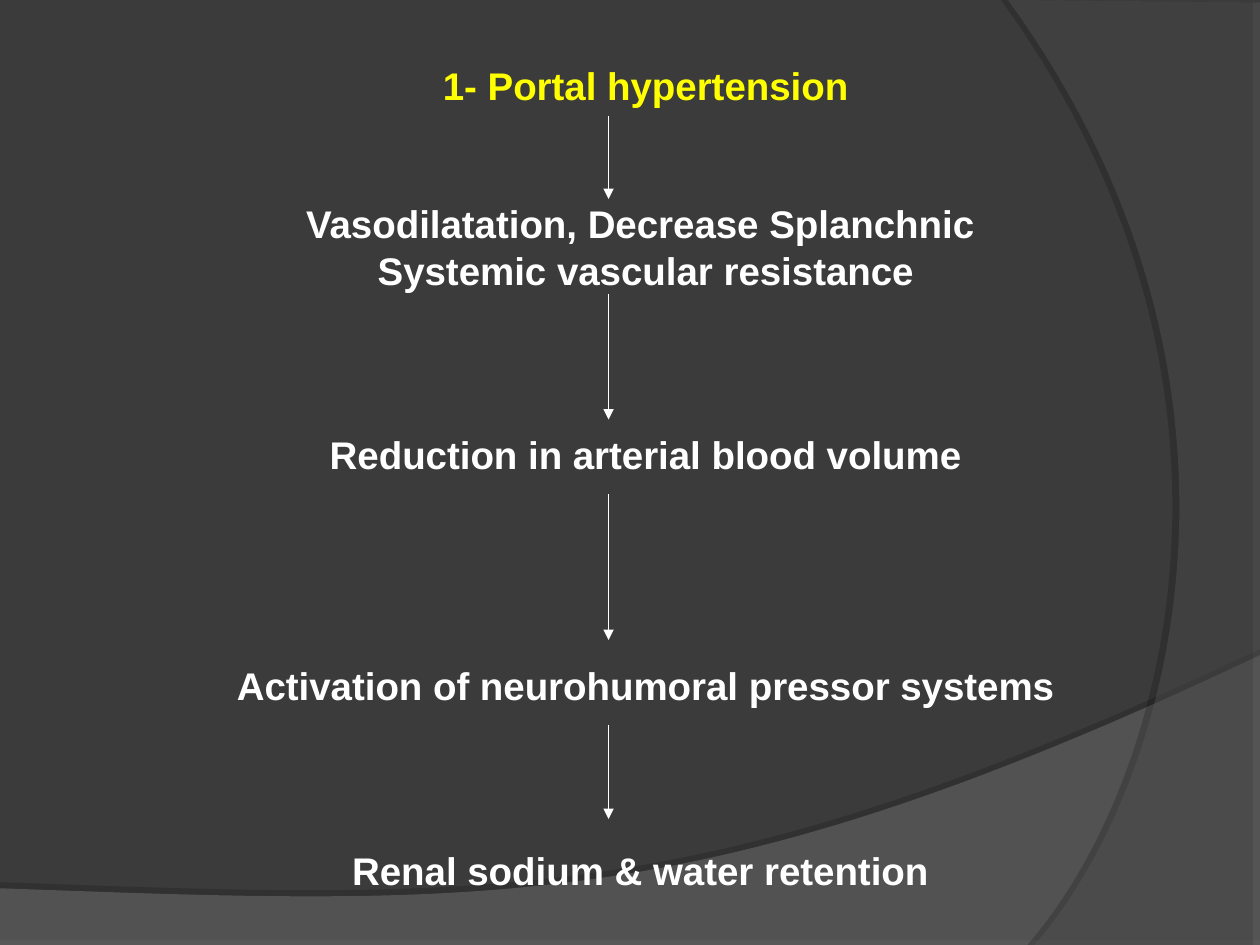
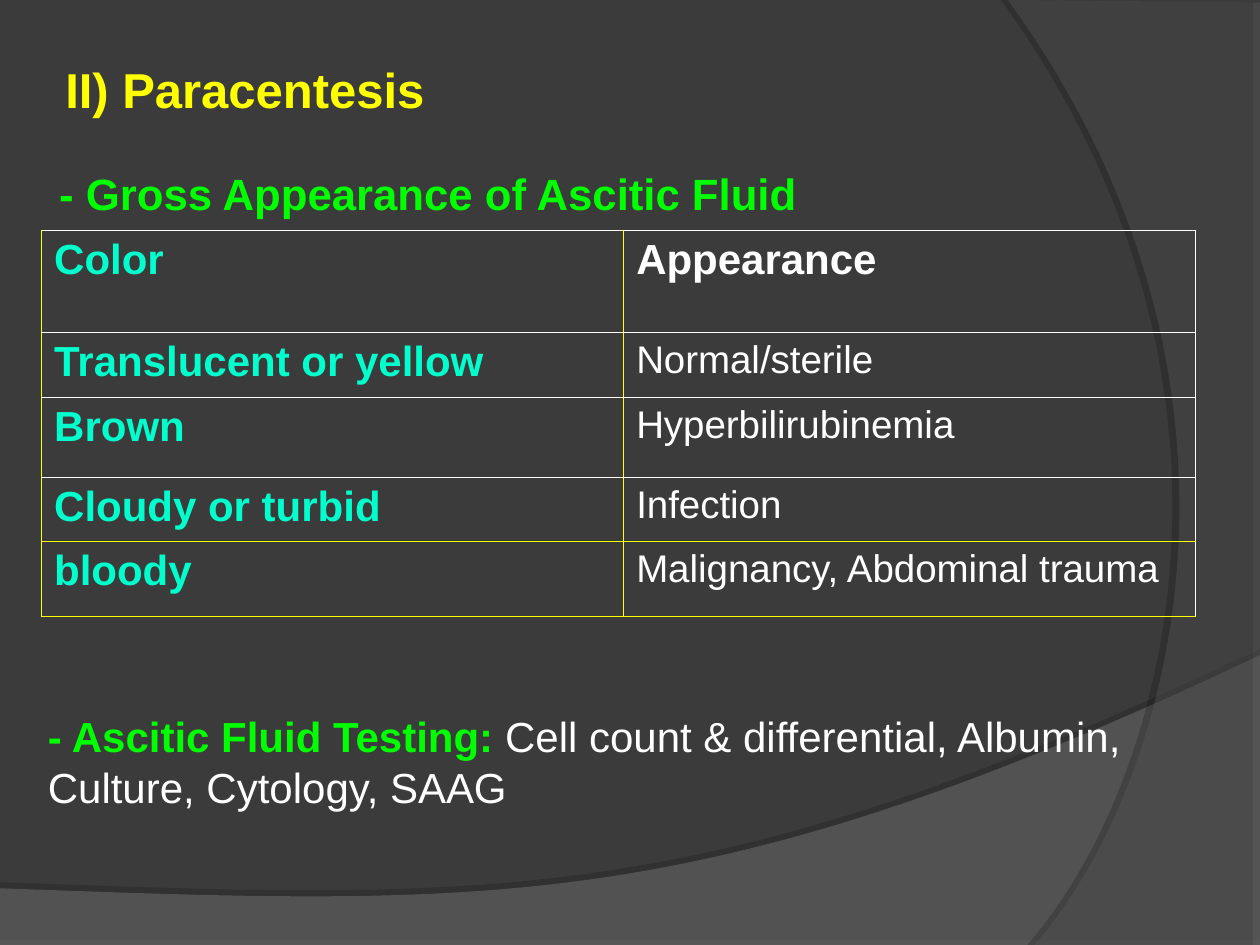
from lxml.etree import SubElement
from pptx import Presentation
from pptx.dml.color import RGBColor
from pptx.enum.shapes import MSO_CONNECTOR as Connector
from pptx.enum.text import MSO_ANCHOR as Anchor, PP_ALIGN as Align
from pptx.oxml.ns import qn
from pptx.util import Inches, Pt

FONT = "Arial"
GREY, WHITE, YELLOW = "3B3B3B", "FFFFFF", "FFFF00"
GREEN, AQUA = "00FF00", "00FFCC"


def rgb(color):
    return RGBColor.from_string(color)


def add_solid(parent, color):
    fill = SubElement(parent, qn("a:solidFill"))
    return SubElement(fill, qn("a:srgbClr"), val=color)


def bezier(start, control1, control2, end, steps=60):
    points = []
    for step in range(steps + 1):
        t = step / steps
        weights = ((1 - t) ** 3, 3 * t * (1 - t) ** 2, 3 * t * t * (1 - t), t ** 3)
        corners = (start, control1, control2, end)
        points.append(tuple(sum(w * c[axis] for w, c in zip(weights, corners))
                            for axis in (0, 1)))
    return points


BOTTOM_WAVE = [(0, 7.51), (10, 7.51)] + bezier(
    (10, 5.2), (5.59, 7.29), (3.91, 7.19), (0, 7.05))
RIGHT_WAVE = [(10, 0.02), (10, 7.5)] + bezier(
    (8.21, 7.5), (9.35, 6.19), (10.18, 3), (8, 0))


class Deck:
    """Holds the shared style and the slide being filled."""

    def __init__(self):
        self.presentation = Presentation()
        self.presentation.slide_width = Inches(10)
        self.presentation.slide_height = Inches(7.5)
        self.slide = None

    def add_slide(self):
        self.slide = self.presentation.slides.add_slide(
            self.presentation.slide_layouts[6])
        fill = self.slide.background.fill
        fill.solid()
        fill.fore_color.rgb = rgb(GREY)
        self.wave(BOTTOM_WAVE, "7C7C7C", 45, shadow=(35, 3.5, 270))
        self.wave(RIGHT_WAVE, "595959", 40, shadow=(45, 4, 180))

    def wave(self, points, color, opacity, shadow):
        corners = [(Inches(x), Inches(y)) for x, y in points]
        builder = self.slide.shapes.build_freeform(*corners[0])
        builder.add_line_segments(corners[1:], close=True)
        shape = builder.convert_to_shape()
        shape.fill.solid()
        shape.fill.fore_color.rgb = rgb(color)
        shape.line.fill.background()
        shape.shadow.inherit = False
        properties = shape._element.spPr
        fill_color = properties.find(qn("a:solidFill")).find(qn("a:srgbClr"))
        SubElement(fill_color, qn("a:alpha"), val=str(opacity * 1000))
        shadow_opacity, distance, angle = shadow
        outer = SubElement(properties.find(qn("a:effectLst")), qn("a:outerShdw"),
                           blurRad="0", dist=str(Pt(distance)),
                           dir=str(angle * 60000), algn="ctr", rotWithShape="0")
        shadow_color = SubElement(outer, qn("a:srgbClr"), val="000000")
        SubElement(shadow_color, qn("a:alpha"), val=str(shadow_opacity * 1000))

    def format_run(self, run, size, color, bold=True):
        font = run.font
        font.name, font.size, font.bold = FONT, Pt(size), bold
        font.color.rgb = rgb(color)

    def text_box(self, left, top, width, height, anchor=Anchor.TOP, side=0.05):
        shape = self.slide.shapes.add_textbox(
            Inches(left), Inches(top), Inches(width), Inches(height))
        frame = shape.text_frame
        frame.word_wrap = True
        frame.vertical_anchor = anchor
        frame.margin_left = frame.margin_right = Inches(side)
        frame.margin_top = frame.margin_bottom = Inches(0.05)
        return frame

    def heading(self, text, box, size, color, **options):
        frame = self.text_box(*box, **options)
        frame.text = text
        self.format_run(frame.paragraphs[0].runs[0], size, color)

    def flow(self, steps, box, size, pitch):
        frame = self.text_box(*box, anchor=Anchor.MIDDLE)
        frame.text = "\n".join(text for text, _, _ in steps)
        for paragraph, (_, skipped_lines, color) in zip(frame.paragraphs, steps):
            paragraph.alignment = Align.CENTER
            paragraph.line_spacing = Pt(pitch)
            paragraph.space_before = Pt(skipped_lines * pitch)
            self.format_run(paragraph.runs[0], size, color)

    def labelled_text(self, label, text, box, size, pitch):
        paragraph = self.text_box(*box).paragraphs[0]
        paragraph.line_spacing = Pt(pitch)
        for words, color, bold in ((label, GREEN, True), (text, WHITE, False)):
            run = paragraph.add_run()
            run.text = words
            self.format_run(run, size, color, bold)

    def down_arrow(self, x, top, bottom):
        connector = self.slide.shapes.add_connector(
            Connector.STRAIGHT, Inches(x), Inches(top), Inches(x), Inches(bottom))
        connector.line.color.rgb = rgb(WHITE)
        connector.line.width = Pt(0.75)
        SubElement(connector.line._get_or_add_ln(), qn("a:tailEnd"), type="triangle")
        SubElement(connector._element.spPr, qn("a:effectLst"))

    def cell_borders(self, cell, colors):
        properties = cell._tc.get_or_add_tcPr()
        for index, (side, color) in enumerate(zip("LRTB", colors)):
            line = SubElement(properties, qn(f"a:ln{side}"), w=str(Pt(0.45)))
            add_solid(line, color)
            properties.remove(line)
            properties.insert(index, line)

    def table(self, rows, left, top, widths, heights):
        table = self.slide.shapes.add_table(
            len(rows), len(widths), Inches(left), Inches(top),
            Inches(sum(widths)), Inches(sum(heights))).table
        table.first_row = table.horz_banding = False
        for column, width in zip(table.columns, widths):
            column.width = Inches(width)
        rules = [WHITE] * (len(rows) - 1) + [YELLOW] * 2
        uprights = [YELLOW] * len(widths) + [WHITE]
        for r, (texts, height) in enumerate(zip(rows, heights)):
            table.rows[r].height = Inches(height)
            for c, text in enumerate(texts):
                cell = table.cell(r, c)
                cell.text_frame.text = text
                cell.fill.background()
                self.cell_borders(cell, uprights[c:c + 2] + rules[r:r + 2])
                strong = r == 0 or c == 0
                self.format_run(cell.text_frame.paragraphs[0].runs[0],
                                24 if strong else 22,
                                WHITE if c else AQUA, strong)


def main():
    deck = Deck()

    deck.add_slide()
    deck.flow([
        ("1- Portal hypertension", 0, YELLOW),
        ("Vasodilatation, Decrease Splanchnic ", 2, WHITE),
        ("Systemic vascular resistance", 0, WHITE),
        ("Reduction in arterial blood volume", 3, WHITE),
        ("Activation of neurohumoral pressor systems", 4, WHITE),
        ("Renal sodium & water retention ", 3, WHITE),
    ], (0.5, 0.25, 9.25, 7.08), size=22, pitch=26.4)
    for top, bottom in ((0.92, 1.58), (2.33, 3.33), (3.92, 5.08), (5.75, 6.5)):
        deck.down_arrow(4.83, top, bottom)

    deck.add_slide()
    deck.table([
        ("Color", "Appearance"),
        ("Translucent or yellow", "Normal/sterile"),
        ("Brown", "Hyperbilirubinemia"),
        ("Cloudy or turbid", "Infection"),
        ("bloody", "Malignancy, Abdominal trauma"),
    ], 0.33, 1.83, (4.62, 4.54), (0.81, 0.51, 0.64, 0.51, 0.59))
    deck.heading("- Gross Appearance of Ascitic Fluid", (0.42, 1.16, 7.08, 0.75),
                 25, GREEN, anchor=Anchor.MIDDLE)
    deck.heading("II) Paracentesis", (0.42, 0.42, 3.2, 0.6), 28, YELLOW, side=0.1)
    deck.labelled_text("- Ascitic Fluid Testing: ",
                       "Cell count & differential, Albumin, Culture, Cytology, SAAG",
                       (0.33, 5.59, 9.17, 0.9), size=24, pitch=29)

    deck.presentation.save("out.pptx")


if __name__ == "__main__":
    main()
